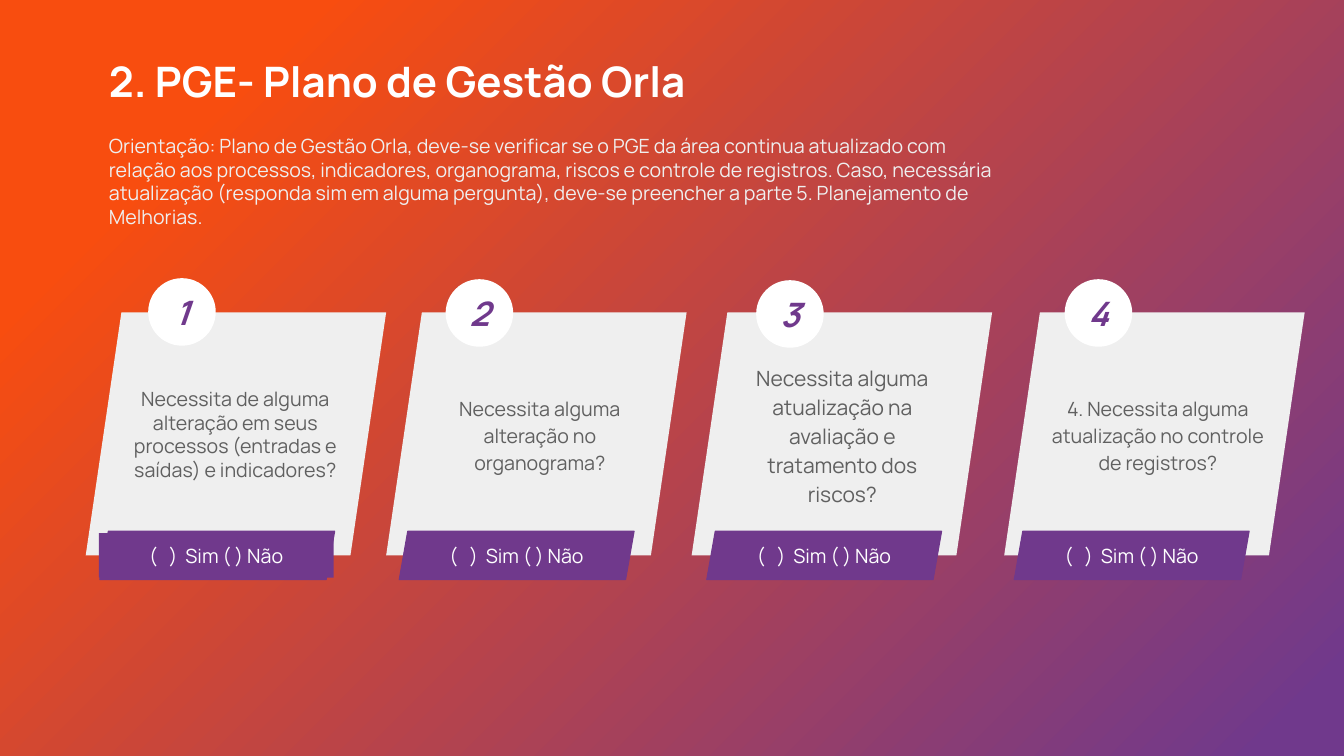
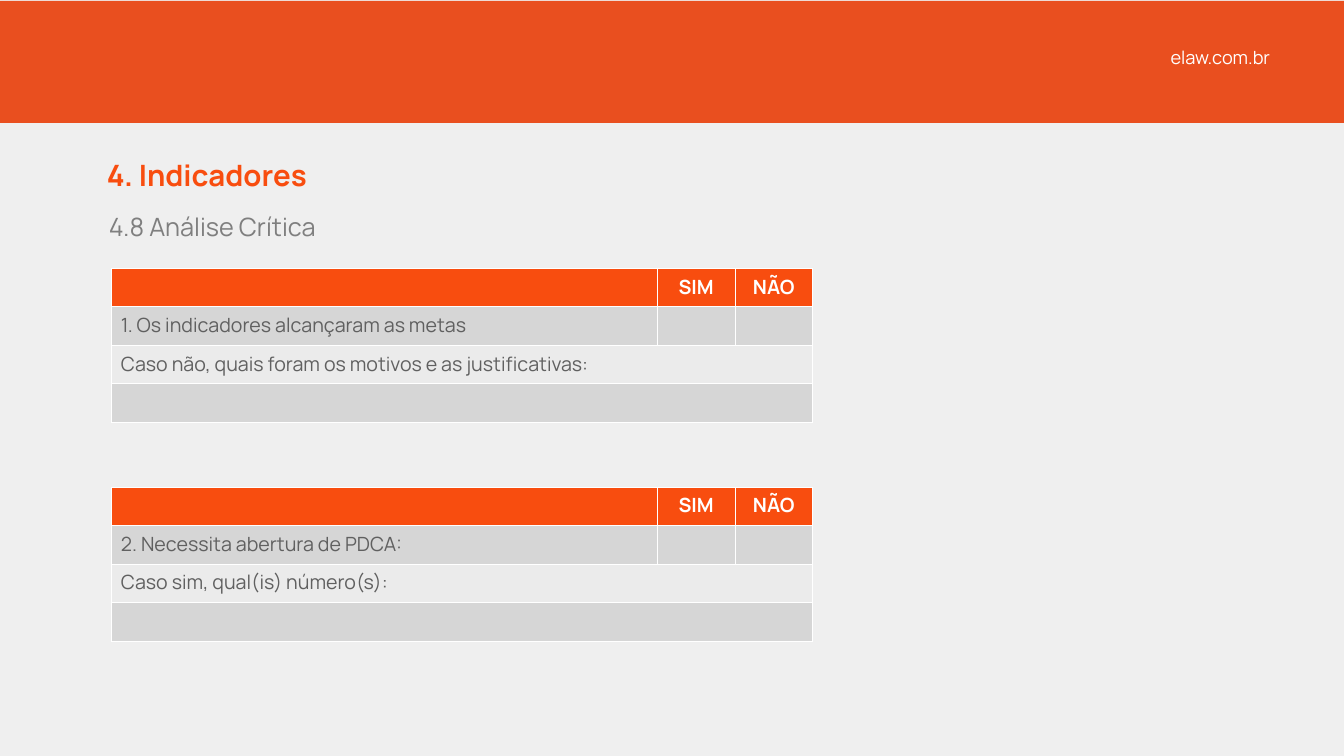
from lxml import etree
from pptx import Presentation
from pptx.dml.color import RGBColor
from pptx.enum import shapes, text
from pptx.oxml import ns
from pptx.util import Inches, Pt

FONT = "Manrope"
ORANGE, PURPLE, BAND = "F84D0F", "70398C", "E94F1F"
WHITE, LIGHT, GRAY, DARK = "FFFFFF", "EFEFEF", "7F7F7F", "606060"
LEFT, CENTER = text.PP_ALIGN.LEFT, text.PP_ALIGN.CENTER
TOP, MIDDLE = text.MSO_ANCHOR.TOP, text.MSO_ANCHOR.MIDDLE
SHAPE = shapes.MSO_SHAPE
rgb = RGBColor.from_string


def write(tf, words, size, color, bold=False, italic=False, align=LEFT,
          spacing=1.0, anchor=MIDDLE, inset=(0.1, 0.1)):
    tf.word_wrap = True
    tf.auto_size = text.MSO_AUTO_SIZE.NONE
    tf.vertical_anchor = anchor
    tf.margin_left = tf.margin_right = Inches(inset[0])
    tf.margin_top = tf.margin_bottom = Inches(inset[1])
    p = tf.paragraphs[0]
    p.alignment = align
    p.line_spacing = spacing
    p.space_before = Pt(0)
    r = p.add_run()
    r.text = words
    r.font.name = FONT
    r.font.size = Pt(size)
    r.font.bold = bold
    r.font.italic = italic
    r.font.color.rgb = rgb(color)


def block(s, kind, box, fill, skew=None, line=None):
    sp = s.shapes.add_shape(kind, *map(Inches, box))
    sp.shadow.inherit = False
    sp.fill.solid()
    sp.fill.fore_color.rgb = rgb(fill)
    if line:
        sp.line.color.rgb = rgb(line)
        sp.line.width = Pt(0.75)
    else:
        sp.line.fill.background()
    if skew:
        sp.adjustments[0] = skew
    return sp


prs = Presentation()
prs.slide_width, prs.slide_height = Inches(13.33), Inches(7.5)

guidance = (
    "Orientação: Plano de Gestão Orla, deve-se verificar se o PGE da área continua "
    "atualizado com relação aos processos, indicadores, organograma, riscos e controle "
    "de registros. Caso, necessária atualização (responda sim em alguma pergunta), "
    "deve-se preencher a parte 5. Planejamento de Melhorias."
)
headings = [
    [((0.98, 0.5, 11.79, 0.61), "2. PGE- Plano de Gestão Orla",
      dict(size=30, color=WHITE, bold=True, anchor=TOP, inset=(0.1, 0.05))),
     ((0.98, 1.23, 9.16, 1.14), guidance,
      dict(size=14, color=LIGHT, anchor=TOP))],
    [((0.93, 1.47, 11.85, 0.47), "4. Indicadores",
      dict(size=21, color=ORANGE, bold=True, spacing=1.15, inset=(0.13, 0.13))),
     ((0.98, 1.95, 11.79, 0.5), "4.8 Análise Crítica",
      dict(size=18, color=GRAY, spacing=1.15, anchor=TOP))],
]
for heading in headings:
    s = prs.slides.add_slide(prs.slide_layouts[1])
    for sp, (box, words, style) in zip(s.placeholders, heading):
        sp.left, sp.top, sp.width, sp.height = map(Inches, box)
        pPr = sp.text_frame.paragraphs[0]._p.get_or_add_pPr()
        pPr.set("marL", "0")
        pPr.set("indent", "0")
        etree.SubElement(pPr, ns.qn("a:buNone"))
        write(sp.text_frame, words, **style)

s = prs.slides[0]
fill = s.background.fill
fill.gradient()
fill.gradient_angle = 315
for stop, color, position in zip(fill.gradient_stops, (ORANGE, PURPLE), (0.15, 0.96)):
    stop.color.rgb = rgb(color)
    stop.position = position

cards = [
    (0.85, 1.47, 2.76, 1.13, 2.41, 0.99, 14, 1.0,
     "Necessita de alguma alteração em seus processos (entradas e saídas) e indicadores?"),
    (3.83, 4.42, 2.77, 4.15, 2.41, 3.96, 14, 1.15,
     "Necessita alguma alteração no organograma?"),
    (6.86, 7.5, 2.78, 7.19, 2.33, 7.01, 15, 1.15,
     "Necessita alguma atualização na avaliação e tratamento dos riscos?"),
    (9.96, 10.56, 2.77, 10.28, 2.41, 10.06, 14, 1.15,
     "4. Necessita alguma atualização no controle de registros?"),
]
for number, card in enumerate(cards, 1):
    card_x, disc_x, disc_y, text_x, text_w, bar_x, size, spacing, question = card
    block(s, SHAPE.PARALLELOGRAM, (card_x, 3.1, 2.98, 2.41), LIGHT, skew=0.147)
    sp = s.shapes.add_textbox(*map(Inches, (text_x, 3.1, text_w, 2.41)))
    write(sp.text_frame, question, size, DARK, align=CENTER, spacing=spacing,
          inset=(0.13, 0.07))
    sp = block(s, SHAPE.OVAL, (disc_x, disc_y, 0.67, 0.67), WHITE)
    write(sp.text_frame, str(number), 24, PURPLE, bold=True, italic=True,
          align=CENTER, inset=(0, 0))
    sp = block(s, SHAPE.PARALLELOGRAM, (bar_x, 5.27, 2.33, 0.48), PURPLE,
               skew=0.176, line=PURPLE)
    if number == 1:
        sp = block(s, SHAPE.RECTANGLE, (0.98, 5.29, 2.33, 0.44), PURPLE)
    write(sp.text_frame, "(   )  Sim ( ) Não", 14, WHITE, align=CENTER, inset=(0, 0))

s = prs.slides[1]
s.background.fill.solid()
s.background.fill.fore_color.rgb = rgb(LIGHT)
block(s, SHAPE.RECTANGLE, (0, 0.01, 13.33, 1.21), BAND)
sp = s.shapes.add_textbox(*map(Inches, (11.48, 0.41, 1.41, 0.31)))
write(sp.text_frame, "elaw.com.br", 13, WHITE, inset=(0.13, 0.13))

tables = [
    (2.66, "1. Os indicadores alcançaram as metas",
     "Caso não, quais foram os motivos e as justificativas:"),
    (4.83, "2. Necessita abertura de PDCA:", "Caso sim, qual(is) número(s):"),
]
row_fills = (ORANGE, "D6D6D6", "EBEBEB", "D6D6D6")
for top, question, follow_up in tables:
    frame = s.shapes.add_table(4, 3, *map(Inches, (1.1, top, 6.95, 1.53)))
    table = frame.table
    for column, width in zip(table.columns, (5.42, 0.77, 0.77)):
        column.width = Inches(width)
    rows = [("", "SIM", "NÃO"), (question, "", ""), (follow_up, "", ""), ("", "", "")]
    for i, row in enumerate(rows):
        table.rows[i].height = Inches(1.53 / 4)
        for j, words in enumerate(row):
            cell = table.cell(i, j)
            tcPr = cell._tc.get_or_add_tcPr()
            for side in ("lnL", "lnR", "lnT", "lnB"):
                ln = etree.SubElement(tcPr, ns.qn("a:" + side), w=str(Pt(0.5)))
                solid = etree.SubElement(ln, ns.qn("a:solidFill"))
                etree.SubElement(solid, ns.qn("a:srgbClr"), val=WHITE)
            cell.fill.solid()
            cell.fill.fore_color.rgb = rgb(row_fills[i])
            p = cell.text_frame.paragraphs[0]
            if words:
                p.alignment = LEFT if j == 0 else CENTER
                r = p.add_run()
                r.text = words
                r.font.name = FONT
                r.font.size = Pt(14)
                r.font.bold = i == 0
                r.font.color.rgb = rgb(WHITE if i == 0 else DARK)
            else:
                etree.SubElement(p._p, ns.qn("a:endParaRPr"), sz="1400")
    for i in (2, 3):
        table.cell(i, 0).merge(table.cell(i, 2))

prs.save("out.pptx")
